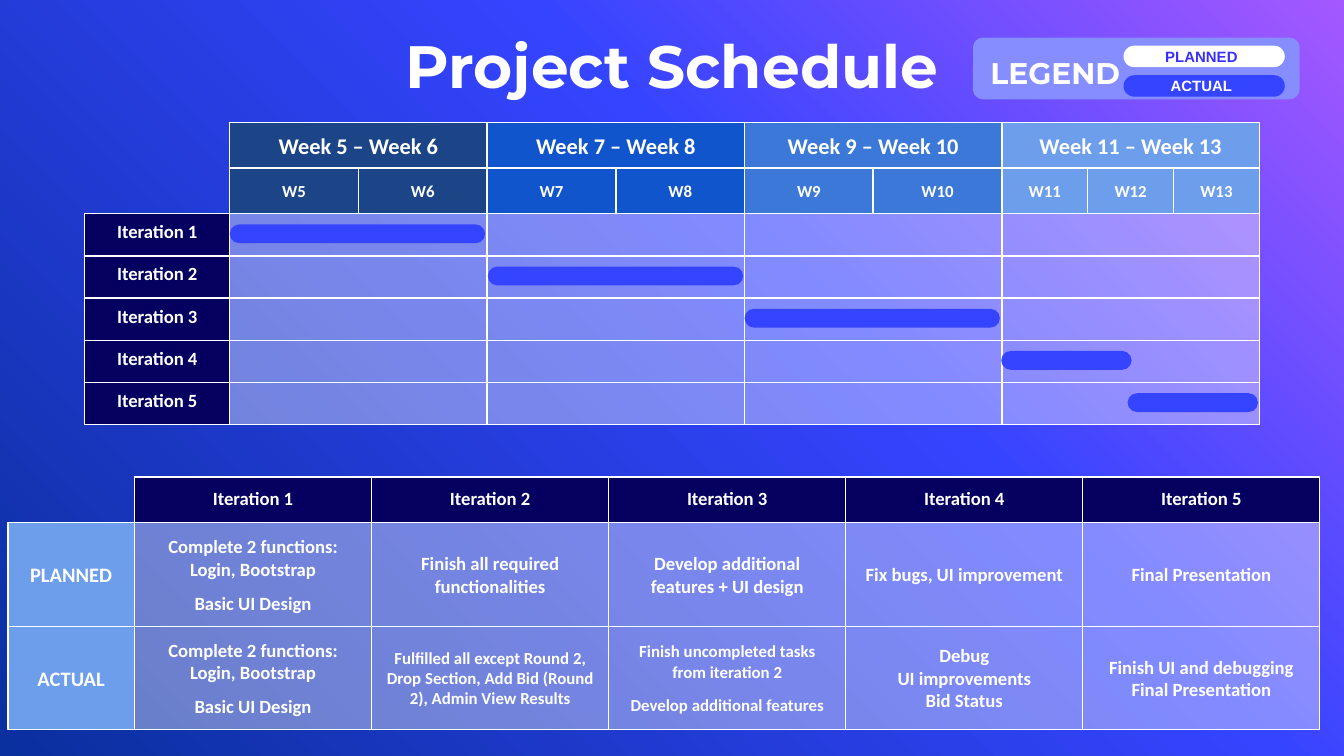
"""Build the project schedule slide."""
from copy import deepcopy

from lxml import etree
from pptx import Presentation
from pptx import util as u
from pptx.dml.color import RGBColor
from pptx.enum import shapes, text
from pptx.oxml import ns

WHITE = RGBColor(0xFF, 0xFF, 0xFF)
PURPLE = RGBColor(0xA4, 0x58, 0xFF)
BLUE = RGBColor(0x35, 0x44, 0xFF)
DEEP = RGBColor(0x0A, 0x2F, 0x9E)
NAVY = RGBColor(0x05, 0x00, 0x60)
SKY = RGBColor(0x6D, 0x9E, 0xEB)
PERIWINKLE = RGBColor(0x85, 0x8D, 0xFF)
INDIGO = RGBColor(0x38, 0x2F, 0xFF)

CENTER = text.PP_ALIGN.CENTER
MIDDLE, BOTTOM = text.MSO_ANCHOR.MIDDLE, text.MSO_ANCHOR.BOTTOM
RECT, ROUND = shapes.MSO_SHAPE.RECTANGLE, shapes.MSO_SHAPE.ROUNDED_RECTANGLE

PERIODS = [
    ("Week 5 – Week 6", RGBColor(0x1C, 0x45, 0x87), ["W5", "W6"]),
    ("Week 7 – Week 8", RGBColor(0x11, 0x55, 0xCC), ["W7", "W8"]),
    ("Week 9 – Week 10", RGBColor(0x3C, 0x78, 0xD8), ["W9", "W10"]),
    ("Week 11 – Week 13", SKY, ["W11", "W12", "W13"]),
]
ITERATIONS = [f"Iteration {number}" for number in range(1, 6)]
BARS = [(0, 1.9), (1.92, 1.9), (3.83, 1.9), (5.74, 0.97), (6.68, 0.97)]
BASICS = (["Complete 2 functions:", "Login, Bootstrap", "Basic UI Design"], 10, {2: 6})
WORK = {
    "PLANNED": [
        BASICS,
        (["Finish all required functionalities"], 10, {}),
        (["Develop additional features + UI design"], 10, {}),
        (["Fix bugs, UI improvement"], 10, {}),
        (["Final Presentation"], 10, {}),
    ],
    "ACTUAL": [
        BASICS,
        (["Fulfilled all except Round 2, Drop Section, Add Bid (Round 2), "
          "Admin View Results"], 9, {}),
        (["Finish uncompleted tasks from iteration 2",
          "Develop additional features"], 9, {1: 7}),
        (["Debug", "UI improvements", "Bid Status"], 10, {}),
        (["Finish UI and debugging", "Final Presentation"], 10, {}),
    ],
}


def apply_format(target, values):
    """Set each named attribute of the target."""
    for name, value in values.items():
        setattr(target, name, value)


def write(box, lines, size, font="Calibri", color=WHITE, align=CENTER,
          anchor=MIDDLE, inset=0.1, gaps=None):
    """Fill a box with bold paragraphs; gaps maps a line index to space before."""
    frame = box.text_frame
    sides = ("margin_left", "margin_top", "margin_right", "margin_bottom")
    apply_format(frame, dict.fromkeys(sides, u.Inches(inset)))
    apply_format(frame, {"word_wrap": True, "vertical_anchor": anchor,
                         "auto_size": text.MSO_AUTO_SIZE.NONE})
    for index, line in enumerate(lines):
        para = frame.add_paragraph() if index else frame.paragraphs[0]
        para.alignment = align
        if gaps and index in gaps:
            para.space_before = u.Pt(gaps[index])
        span = para.add_run()
        span.text = line
        apply_format(span.font, {"name": font, "size": u.Pt(size), "bold": True})
        span.font.color.rgb = color


def add_box(page, kind, area, color, alpha=None, outlined=False):
    """Add a filled shape over an area given in inches."""
    box = page.shapes.add_shape(kind, *map(u.Inches, area))
    box.shadow.inherit = False
    box.fill.solid()
    box.fill.fore_color.rgb = color
    if alpha:
        tint = box.fill._xPr.find(".//" + ns.qn("a:srgbClr"))
        etree.SubElement(tint, ns.qn("a:alpha"), val=str(alpha * 1000))
    if outlined:
        box.line.color.rgb = WHITE
        box.line.width = u.Pt(0.75)
    else:
        box.line.fill.background()
    return box


def add_cell(page, area, color, lines=(), size=10, alpha=None, **layout):
    """Add an outlined grid cell with optional text."""
    box = add_box(page, RECT, area, color, alpha, outlined=True)
    if lines:
        write(box, lines, size, **layout)


def add_pill(page, area, color):
    """Add a bar with fully rounded ends."""
    add_box(page, ROUND, area, color).adjustments[0] = 0.5


def paint_background(page):
    """Give the page its diagonal gradient."""
    fill = page.background.fill
    fill.gradient()
    fill.gradient_angle = 225
    stops = page.element.find(".//" + ns.qn("a:gsLst"))
    stops.append(deepcopy(stops[-1]))
    colors = [(0, PURPLE), (0.39, BLUE), (1, DEEP)]
    for stop, (position, color) in zip(fill.gradient_stops, colors):
        stop.position = position
        stop.color.rgb = color


def place_title(page, left, top, width, height):
    """Place the title in its placeholder."""
    title = page.shapes.title
    apply_format(title, {"left": u.Inches(left), "top": u.Inches(top),
                         "width": u.Inches(width), "height": u.Inches(height)})
    write(title, ["Project Schedule"], 32, "Montserrat", anchor=BOTTOM, inset=0)


def place_legend(page, left, top, width, height):
    """Draw the legend panel with its two keys."""
    add_box(page, ROUND, (left, top, width, height), PERIWINKLE)
    label = page.shapes.add_textbox(*map(u.Inches, (left + 0.13, top - 0.04, 1.34, 0.43)))
    write(label, ["LEGEND"], 16, "Montserrat", align=text.PP_ALIGN.LEFT,
          anchor=BOTTOM, inset=0)
    keys = [("PLANNED", WHITE, INDIGO), ("ACTUAL", BLUE, WHITE)]
    for row, (name, color, ink) in enumerate(keys):
        key_top = top + 0.06 + 0.22 * row
        add_pill(page, (left + 1.12, key_top, 1.2, 0.16), color)
        caption = page.shapes.add_textbox(
            *map(u.Inches, (left + 1.12, key_top - 0.04, 1.16, 0.24)))
        write(caption, [name], 8, "Arial", ink, inset=0.05)


def place_timeline(page, left, top, width, head, height):
    """Draw the weeks, iteration rows and bars of the timeline."""
    column = width / len(PERIODS)
    row_height = height / len(ITERATIONS)
    body = top + 2 * head
    for index, (period, color, weeks) in enumerate(PERIODS):
        start = left + index * column
        add_cell(page, (start, top, column, head), color, [period], 12)
        part = column / len(weeks)
        for place, week in enumerate(weeks):
            add_cell(page, (start + place * part, top + head, part, head),
                     color, [week], 9)
        for row in range(len(ITERATIONS)):
            add_cell(page, (start, body + row * row_height, column, row_height),
                     WHITE, alpha=38)
    for row, (name, (offset, length)) in enumerate(zip(ITERATIONS, BARS)):
        row_top = body + row * row_height
        add_cell(page, (left - 1.08, row_top, 1.08, row_height), NAVY, [name],
                 anchor=BOTTOM)
        add_pill(page, (left + offset, row_top + 0.08, length, 0.14), BLUE)


def place_work(page, left, top, width, head, row_height):
    """Draw the grid of planned and actual work per iteration."""
    label = 0.94
    column = width / len(ITERATIONS)
    for index, name in enumerate(ITERATIONS):
        add_cell(page, (left + index * column, top, column, head), NAVY, [name],
                 anchor=BOTTOM)
    for row, (status, entries) in enumerate(WORK.items()):
        row_top = top + head + row * row_height
        add_cell(page, (left - label, row_top, label, row_height), SKY, [status], 11)
        for index, (lines, size, gaps) in enumerate(entries):
            add_cell(page, (left + index * column, row_top, column, row_height),
                     WHITE, lines, size, alpha=38, gaps=gaps)


def main():
    """Build and save the deck."""
    deck = Presentation()
    deck.slide_width, deck.slide_height = u.Inches(10), u.Inches(10 * 9 / 16)
    page = deck.slides.add_slide(deck.slide_layouts[5])
    paint_background(page)
    place_title(page, 0, 0.05, 10, 0.7)
    place_legend(page, 7.24, 0.28, 2.43, 0.46)
    place_timeline(page, 1.71, 0.91, 7.66, 0.34, 1.57)
    place_work(page, 1, 3.55, 8.82, 0.34, 0.77)
    deck.save("out.pptx")


if __name__ == "__main__":
    main()
